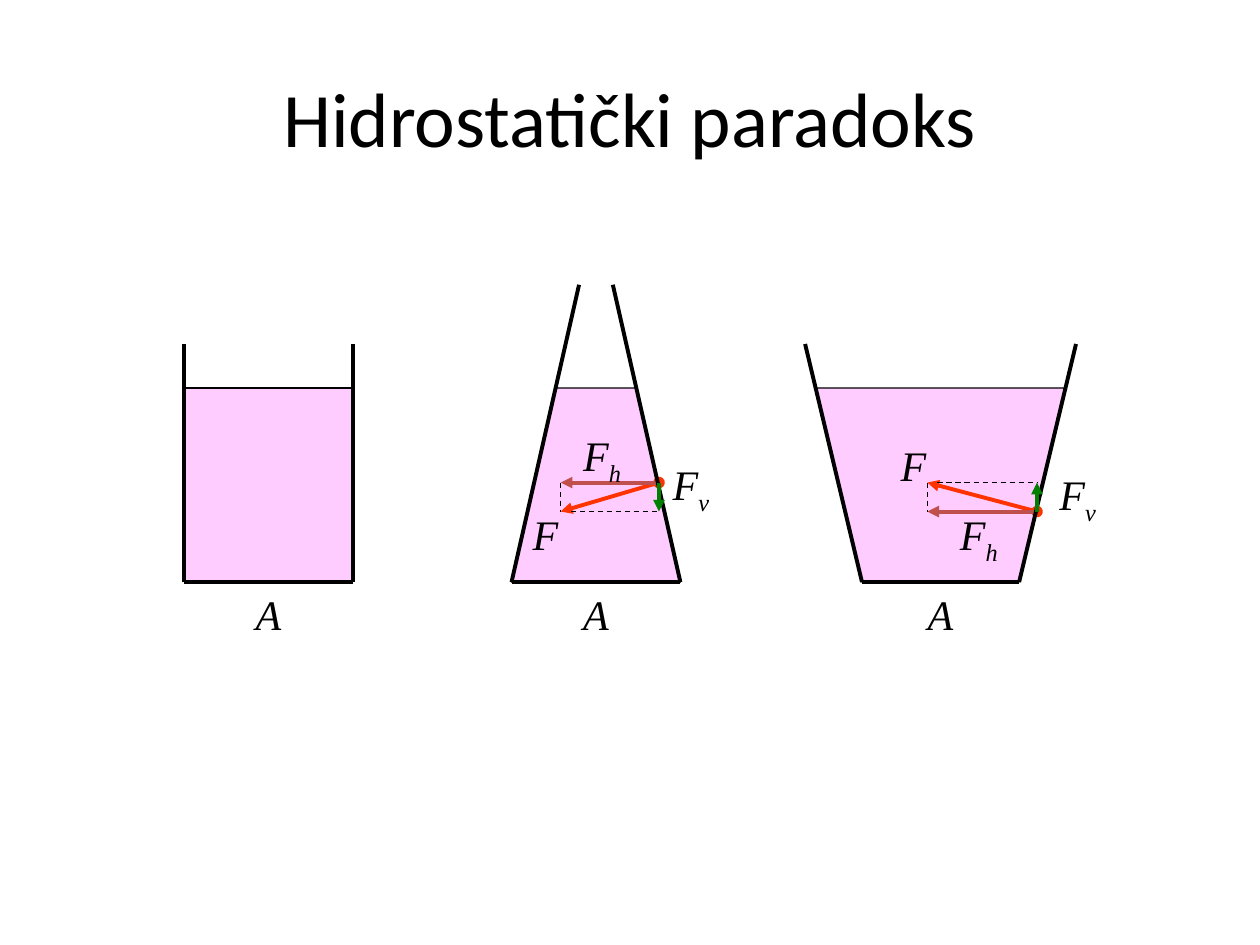
import pptx
import pptx.dml.color
import pptx.enum.dml
import pptx.enum.shapes
import pptx.enum.text
import pptx.oxml.xmlchemy
import pptx.util

RGB = pptx.dml.color.RGBColor
BLACK = RGB(0x00, 0x00, 0x00)
FLUID = RGB(0xFF, 0xCC, 0xFF)
RESULTANT = RGB(0xFF, 0x33, 0x00)
HORIZONTAL = RGB(0xC0, 0x50, 0x4D)
VERTICAL = RGB(0x00, 0x80, 0x00)

# Every length is in cells of a grid with 100 columns and 75 rows.
CELL = pptx.util.Inches(0.1)
COLUMNS, ROWS = 100, 75
DEPTH = 15.4
THICK, THIN = 2.25, 0.75
SYMBOL = {"name": "Times New Roman", "size": pptx.util.Pt(24), "italic": True}
HEADING = {"name": "Calibri", "size": pptx.util.Pt(44)}

# Boxes are left, top, width, height; insets are shares of the width.
VESSELS = [
    {"box": (14.6, 27.3, 13.4, 18.9), "rim_inset": 0, "base_inset": 0},
    {"box": (40.6, 22.6, 13.4, 23.6), "rim_inset": 0.4, "base_inset": 0},
    {"box": (63.9, 27.3, 21.5, 18.9), "rim_inset": 0, "base_inset": 0.21},
]
# Label places are offsets from the top left corner of the force box.
FORCES = [
    {"box": (44.5, 38.3, 7.8, 2.3), "down": True,
     "labels": {"": (-3.2, 1.6), "h": (0.8, -4.7), "v": (7.9, -2.4)}},
    {"box": (73.6, 38.3, 8.7, 2.3), "down": False,
     "labels": {"": (-3.1, -3.9), "h": (1.6, 1.6), "v": (9.5, -1.6)}},
]


def cells(*lengths):
    return [round(length * CELL) for length in lengths]


def add_line(slide, start, end, color=BLACK, width=THICK, dashed=False, **ends):
    """Draw a line; ends may give headEnd and tailEnd types."""
    connector = slide.shapes.add_connector(
        pptx.enum.shapes.MSO_CONNECTOR.STRAIGHT, *cells(*start, *end))
    connector.line.color.rgb = color
    connector.line.width = pptx.util.Pt(width)
    if dashed:
        connector.line.dash_style = pptx.enum.dml.MSO_LINE.DASH
    properties = connector._element.spPr
    for tag in ("headEnd", "tailEnd"):
        if tag in ends:
            mark = pptx.oxml.xmlchemy.OxmlElement(f"a:{tag}")
            mark.set("type", ends[tag])
            properties.ln.append(mark)
    properties.append(pptx.oxml.xmlchemy.OxmlElement("a:effectLst"))


def add_text(slide, box, text, style, subscript="", wrap=False, middle=False):
    holder = slide.shapes.add_textbox(*cells(*box))
    frame = holder.text_frame
    frame.word_wrap = wrap
    if middle:
        frame.vertical_anchor = pptx.enum.text.MSO_ANCHOR.MIDDLE
    paragraph = frame.paragraphs[0]
    for part in filter(None, (text, subscript)):
        run = paragraph.add_run()
        run.text = part
        for name, value in style.items():
            setattr(run.font, name, value)
        run.font.color.rgb = BLACK
        if part == subscript:
            run.font._element.set("baseline", "-25000")
    return paragraph


def add_title(slide, box):
    paragraph = add_text(slide, box, "Hidrostatički paradoks", HEADING,
                         wrap=True, middle=True)
    paragraph.alignment = pptx.enum.text.PP_ALIGN.CENTER


def vessel_corners(box, rim_inset, base_inset):
    """Return rim left, base left, base right and rim right."""
    left, top, width, height = box
    right, bottom = left + width, top + height
    rim, base = rim_inset * width, base_inset * width
    return ((left + rim, top), (left + base, bottom),
            (right - base, bottom), (right - rim, top))


def add_fluid(slide, vessel):
    rim_left, base_left, base_right, rim_right = vessel_corners(**vessel)
    share = DEPTH / vessel["box"][3]
    surface = [tuple(b + (r - b) * share for b, r in zip(base, rim))
               for base, rim in ((base_left, rim_left), (base_right, rim_right))]
    builder = slide.shapes.build_freeform(*cells(*surface[0]))
    builder.add_line_segments(
        [cells(*corner) for corner in (base_left, base_right, surface[1])], close=True)
    fluid = builder.convert_to_shape()
    fluid.shadow.inherit = False
    fluid.fill.solid()
    fluid.fill.fore_color.rgb = FLUID
    if rim_left[0] == base_left[0]:
        fluid.line.fill.background()
        add_line(slide, *surface, width=THIN)
    else:
        fluid.line.color.rgb = BLACK
        fluid.line.width = pptx.util.Pt(THIN)


def add_walls(slide, vessel):
    corners = vessel_corners(**vessel)
    for start, end in zip(corners, corners[1:]):
        add_line(slide, start, end)
    left, top, width, height = vessel["box"]
    add_text(slide, (left + width / 2 - 2, top + height, 4.7, 5), "A", SYMBOL,
             middle=True)


def force_rows(box, down):
    """Return the row where the force acts and the row it points to."""
    rows = box[1], box[1] + box[3]
    return rows if down else rows[::-1]


def add_force(slide, box, down, labels):
    left, top, width, height = box
    right = left + width
    origin, target = force_rows(box, down)
    add_line(slide, (right, origin), (left, target), RESULTANT,
             headEnd="oval", tailEnd="triangle")
    add_line(slide, (right, origin), (left, origin), HORIZONTAL, tailEnd="triangle")
    add_line(slide, (left, top), (left, top + height), width=THIN, dashed=True)
    add_line(slide, (left + 0.8, target), (right, target), width=THIN, dashed=True)


def add_vertical_force(slide, box, down, labels):
    """Draw the vertical component and name all three arrows."""
    left, top, width, _ = box
    for subscript, (across, below) in labels.items():
        add_text(slide, (left + across, top + below, 5.2 if subscript else 4, 5),
                 "F", SYMBOL, subscript)
    origin, target = force_rows(box, down)
    add_line(slide, (left + width, origin), (left + width, target), VERTICAL,
             tailEnd="triangle")


def main():
    deck = pptx.Presentation()
    deck.slide_width, deck.slide_height = cells(COLUMNS, ROWS)
    slide = deck.slides.add_slide(deck.slide_layouts[6])
    add_title(slide, (5, 3, 90, 12.5))
    for vessel in VESSELS:
        add_fluid(slide, vessel)
    for force in FORCES:
        add_force(slide, **force)
    for vessel in VESSELS:
        add_walls(slide, vessel)
    for force in FORCES:
        add_vertical_force(slide, **force)
    deck.save("out.pptx")


if __name__ == "__main__":
    main()
